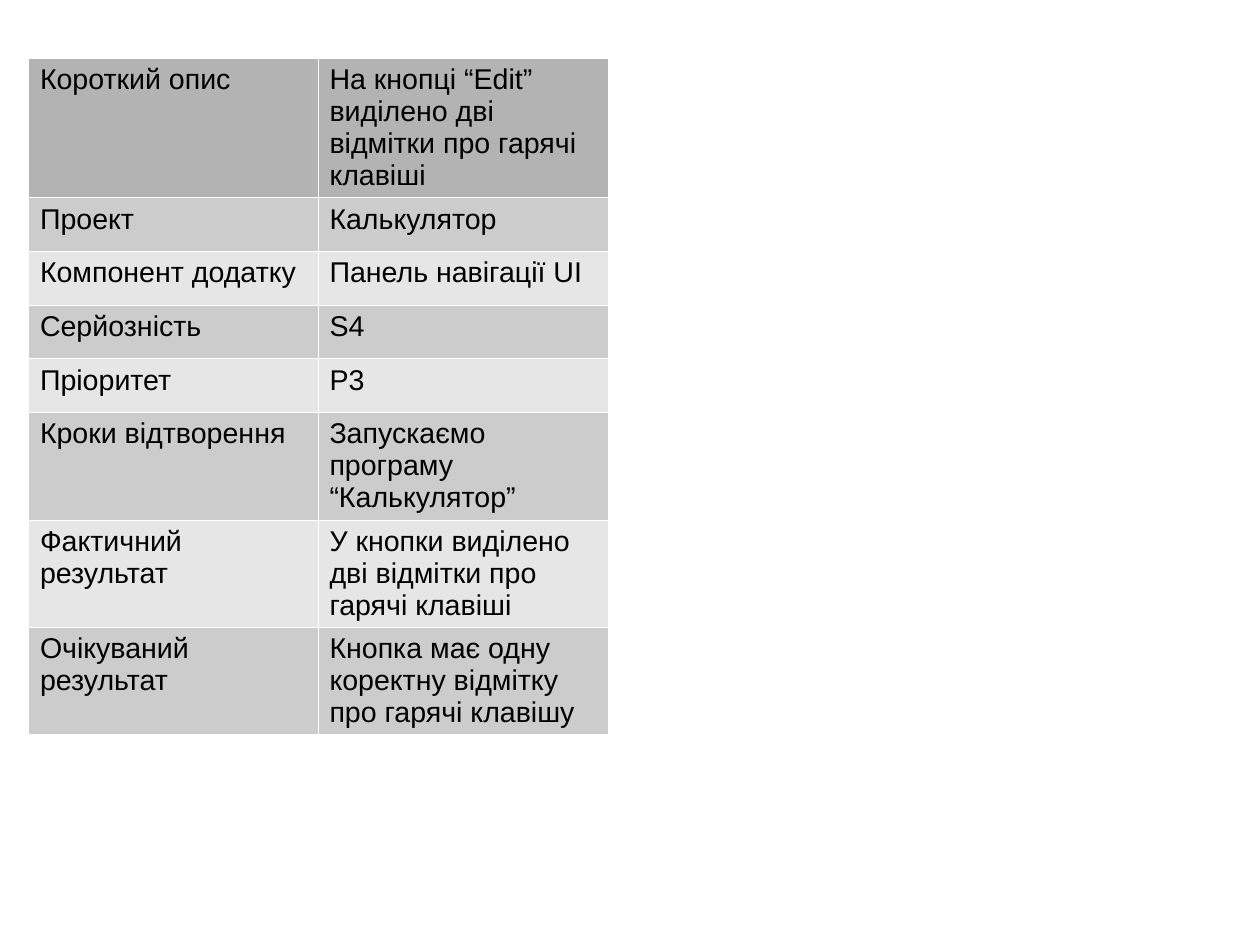
from lxml.etree import SubElement
from pptx import Presentation
from pptx.dml.color import RGBColor as Rgb
from pptx.enum.text import MSO_ANCHOR as Anchor, PP_ALIGN as Align
from pptx.oxml.ns import qn
from pptx.util import Pt

COLORS = {
    "text": "000000",
    "border": "FFFFFF",
    "header": "B3B3B3",
    "odd": "CCCCCC",
    "even": "E6E6E6",
}

BUG_REPORT = [
    ("Короткий опис", "На кнопці “Edit” виділено дві відмітки про гарячі клавіші"),
    ("Проект", "Калькулятор"),
    ("Компонент додатку", "Панель навігації UI"),
    ("Серйозність", "S4"),
    ("Пріоритет", "P3"),
    ("Кроки відтворення", "Запускаємо програму “Калькулятор”"),
    ("Фактичний результат", "У кнопки виділено дві відмітки про гарячі клавіші"),
    ("Очікуваний результат", "Кнопка має одну коректну відмітку про гарячі клавішу"),
]


def write_text(frame, text, *, font="Arial", size=18, color="text", align=Align.LEFT):
    frame.word_wrap = True
    paragraph = frame.paragraphs[0]
    paragraph.alignment = align
    run = paragraph.add_run()
    run.text = text
    run.font.name = font
    run.font.size = Pt(size)
    run.font.color.rgb = Rgb.from_string(COLORS[color])


class ReportSlide:
    border_width = 0.06
    inset_x, inset_y = 7.2, 3.6

    def __init__(self, deck):
        self.slide = deck.slides.add_slide(deck.slide_layouts[6])

    def table(self, rows, left, top, height, column_width, header_height, row_height):
        columns = len(rows[0])
        grid = self.slide.shapes.add_table(
            len(rows), columns, Pt(left), Pt(top), Pt(columns * column_width), Pt(height)
        ).table
        for column in grid.columns:
            column.width = Pt(column_width)
        for index, texts in enumerate(rows):
            grid.rows[index].height = Pt(row_height if index else header_height)
            band = "header" if index == 0 else "odd" if index % 2 else "even"
            for cell, text in zip(grid.rows[index].cells, texts):
                self.cell(cell, text, band)

    def cell(self, cell, text, fill):
        cell.margin_left = cell.margin_right = Pt(self.inset_x)
        cell.margin_top = cell.margin_bottom = Pt(self.inset_y)
        cell.vertical_anchor = Anchor.TOP
        self.borders(cell)
        cell.fill.solid()
        cell.fill.fore_color.rgb = Rgb.from_string(COLORS[fill])
        write_text(cell.text_frame, text)

    def borders(self, cell):
        properties = cell._tc.get_or_add_tcPr()
        for side in ("a:lnL", "a:lnR", "a:lnT", "a:lnB"):
            line = SubElement(properties, qn(side), w=str(Pt(self.border_width)))
            fill = SubElement(line, qn("a:solidFill"))
            SubElement(fill, qn("a:srgbClr"), val=COLORS["border"])


def main():
    deck = Presentation()
    deck.slide_width, deck.slide_height = Pt(793.75), Pt(595.25)
    report = ReportSlide(deck)
    report.table(
        BUG_REPORT,
        left=18,
        top=36.5,
        height=298.8,
        column_width=182.4,
        header_height=44.64,
        row_height=33.84,
    )
    deck.save("out.pptx")


if __name__ == "__main__":
    main()
